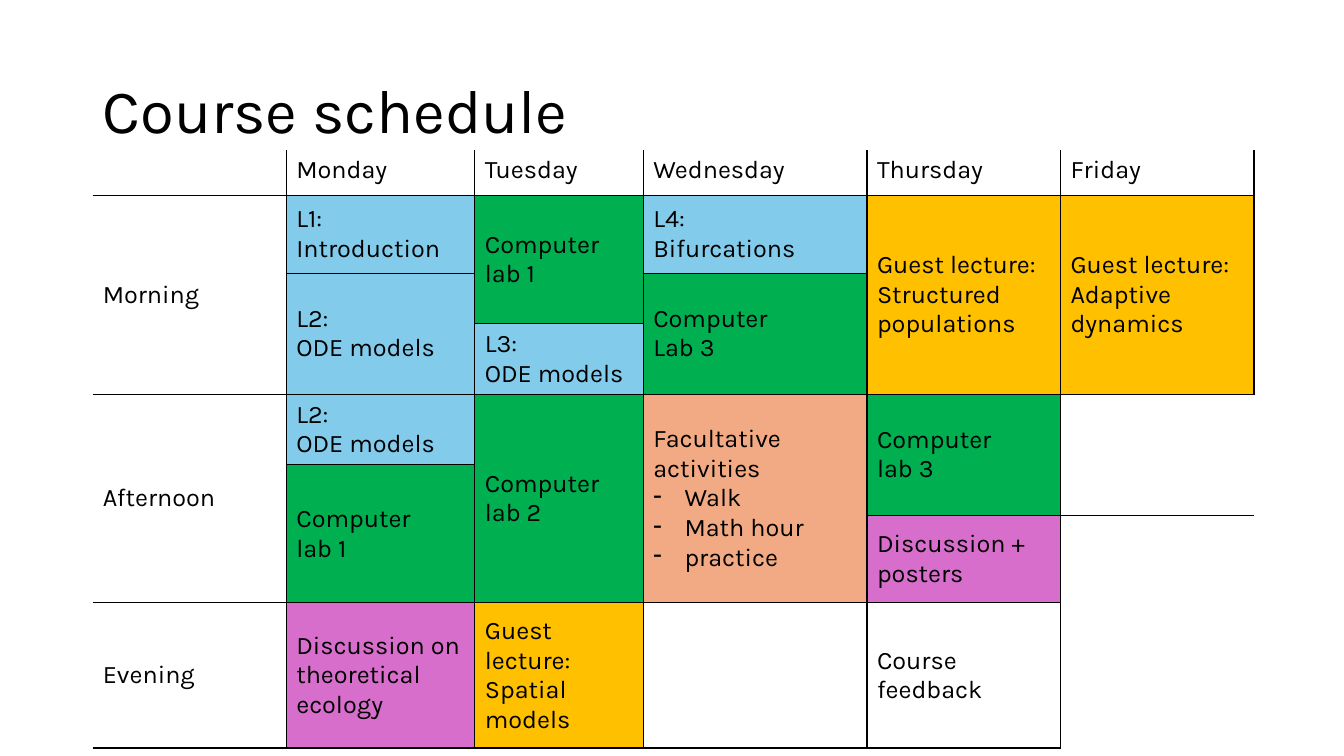
from dataclasses import dataclass

from lxml import etree
from pptx import Presentation
from pptx import table as tb
from pptx import util as u
from pptx.dml import color
from pptx.enum import text
from pptx.oxml import ns

FONT = "Karla"
BLACK = "000000"
BLUE = "83CBEB"
GREEN = "00B050"
GOLD = "FFC000"
PEACH = "F2AA84"
PINK = "D86ECC"
WHITE = "FFFFFF"

SLIDE_WIDTH = u.Inches(13.33)
SLIDE_HEIGHT = u.Inches(7.5)
COLUMN_PERCENTS = (14.4, 14.03, 12.53, 16.65, 14.4, 14.4)
ROW_PERCENTS = (6, 10.27, 6.67, 9.07, 9.2, 6.67, 11.6, 19.2)
DAYS = ("Monday", "Tuesday", "Wednesday", "Thursday", "Friday")
PLAIN_STYLE = "{2D5ABB26-0587-4C30-8999-92F81FD0307C}"


@dataclass(frozen=True)
class Block:
    row: int
    column: int
    lines: tuple[str, ...] = ()
    fill: str | None = None
    rows: int = 1
    edges: str = "LRB"
    bullets: tuple[str, ...] = ()


BLOCKS = (
    Block(0, 0, edges="RB"),
    *(Block(0, column, (day,)) for column, day in enumerate(DAYS, 1)),
    Block(1, 0, ("Morning",), rows=3, edges="RTB"),
    Block(1, 1, ("L1: Introduction",), BLUE, edges="LRT"),
    Block(2, 1, ("L2:", "ODE models"), BLUE, 2),
    Block(1, 2, ("Computer", "lab 1"), GREEN, 2, "LRT"),
    Block(3, 2, ("L3:", "ODE models"), BLUE),
    Block(1, 3, ("L4:", "Bifurcations"), BLUE, edges="LRT"),
    Block(2, 3, ("Computer", "Lab 3"), GREEN, 2),
    Block(1, 4, ("Guest lecture:", "Structured populations"), GOLD, 3, "LRTB"),
    Block(1, 5, ("Guest lecture: Adaptive dynamics",), GOLD, 3, "LRTB"),
    Block(4, 0, ("Afternoon",), rows=3, edges="RTB"),
    Block(4, 1, ("L2:", "ODE models"), BLUE, edges="LRT"),
    Block(5, 1, ("Computer", "lab 1"), GREEN, 2),
    Block(4, 2, ("Computer lab 2",), GREEN, 3, "LRTB"),
    Block(4, 3, ("Facultative activities",), PEACH, 3, "LRTB",
          ("Walk", "Math hour", "practice")),
    Block(4, 4, ("Computer", "lab 3"), GREEN, 2, "LRT"),
    Block(6, 4, ("Discussion + posters",), PINK),
    Block(4, 5, rows=2, edges="LT"),
    Block(6, 5, edges="L"),
    Block(7, 0, ("Evening",), edges="RTB"),
    Block(7, 1, ("Discussion on theoretical ecology",), PINK, edges="LRTB"),
    Block(7, 2, ("Guest lecture:", "Spatial models"), GOLD, edges="LRTB"),
    Block(7, 3, fill=WHITE, edges="LRTB"),
    Block(7, 4, ("Course feedback",), edges="LRTB"),
    Block(7, 5, edges="L"),
)


def across(percent: float) -> int:
    return round(SLIDE_WIDTH * percent / 100)


def down(percent: float) -> int:
    return round(SLIDE_HEIGHT * percent / 100)


def paint(target, hex_color: str) -> None:
    target.rgb = color.RGBColor.from_string(hex_color)


def add_span(para, words: str, size: float) -> None:
    span = para.add_run()
    span.text = words
    span.font.name = FONT
    span.font.size = u.Pt(size)
    paint(span.font.color, BLACK)


def add_bullet(para) -> None:
    properties = para._p.get_or_add_pPr()
    indent = u.Inches(0.31)
    properties.set("marL", str(indent))
    properties.set("indent", str(-indent))
    etree.SubElement(properties, ns.qn("a:buChar")).set("char", "-")


def add_edges(cell: tb._Cell, edges: str) -> None:
    properties = cell._tc.get_or_add_tcPr()
    for position, side in enumerate(edge for edge in "LRTB" if edge in edges):
        line = etree.Element(ns.qn(f"a:ln{side}"), w=str(u.Pt(1)))
        solid = etree.SubElement(line, ns.qn("a:solidFill"))
        etree.SubElement(solid, ns.qn("a:srgbClr")).set("val", BLACK)
        properties.insert(position, line)


def draw_block(table: tb.Table, block: Block) -> None:
    first = table.cell(block.row, block.column)
    last_row = block.row + block.rows - 1
    if block.rows > 1:
        first.merge(table.cell(last_row, block.column))
    for row in range(block.row, last_row + 1):
        cell = table.cell(row, block.column)
        if block.fill:
            cell.fill.solid()
            paint(cell.fill.fore_color, block.fill)
        else:
            cell.fill.background()
        hidden = "" if row == block.row else "T" if row == last_row else "TB"
        add_edges(cell, "".join(edge for edge in block.edges if edge not in hidden))
    if block.row > 0:
        first.vertical_anchor = text.MSO_ANCHOR.MIDDLE
    for index, words in enumerate(block.lines + block.bullets):
        frame = first.text_frame
        para = frame.add_paragraph() if index else frame.paragraphs[0]
        if index >= len(block.lines):
            add_bullet(para)
        add_span(para, words, 18)


def draw_title(page) -> None:
    box = page.shapes.add_textbox(across(6.9), down(5.33), across(86.27), down(19.33))
    box.text_frame.word_wrap = True
    box.text_frame.vertical_anchor = text.MSO_ANCHOR.MIDDLE
    para = box.text_frame.paragraphs[0]
    para.line_spacing = 0.9
    add_span(para, "Course schedule", 44)


def draw_schedule(page) -> None:
    frame = page.shapes.add_table(
        len(ROW_PERCENTS), len(COLUMN_PERCENTS), across(6.9), down(19.87),
        across(sum(COLUMN_PERCENTS)), down(sum(ROW_PERCENTS)))
    table = frame.table
    table.first_row = False
    table.horz_banding = False
    table._tbl.tblPr.find(ns.qn("a:tableStyleId")).text = PLAIN_STYLE
    for column, percent in zip(table.columns, COLUMN_PERCENTS):
        column.width = across(percent)
    for row, percent in zip(table.rows, ROW_PERCENTS):
        row.height = down(percent)
    for block in BLOCKS:
        draw_block(table, block)


def main() -> None:
    deck = Presentation()
    deck.slide_width = SLIDE_WIDTH
    deck.slide_height = SLIDE_HEIGHT
    page = deck.slides.add_slide(deck.slide_layouts[6])
    draw_title(page)
    draw_schedule(page)
    deck.save("out.pptx")


if __name__ == "__main__":
    main()
